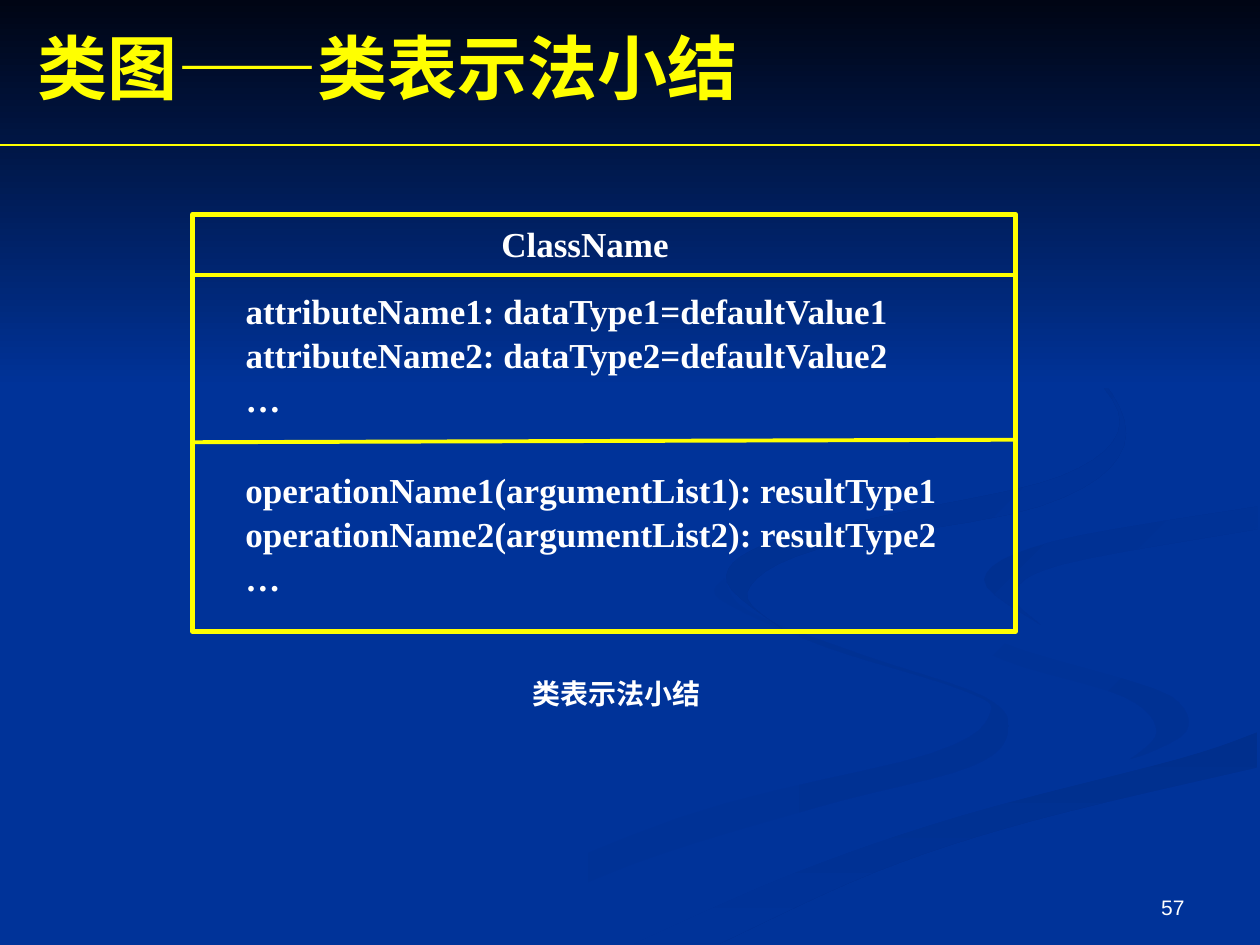
"""Build the slide that sums up UML class notation."""
from typing import NamedTuple

from lxml import etree
from pptx import Presentation
from pptx import util as u
from pptx.dml.color import RGBColor
from pptx.enum import shapes, text
from pptx.oxml.ns import qn

BLUE = RGBColor(0x00, 0x33, 0x99)
NIGHT = RGBColor(0x00, 0x05, 0x14)
SHADE_LIGHT = RGBColor(0x00, 0x31, 0x93)
SHADE_MID = RGBColor(0x00, 0x30, 0x91)
SHADE_DEEP = RGBColor(0x00, 0x2F, 0x8D)
YELLOW = RGBColor(0xFF, 0xFF, 0x00)
WHITE = RGBColor(0xFF, 0xFF, 0xFF)
SERIF, SANS = "Times New Roman", "Arial"
CURVE_STEPS = 6


class Ribbon(NamedTuple):
    start: RGBColor
    end: RGBColor
    angle: int
    edges: tuple


class Label(NamedTuple):
    left: float
    top: float
    width: float
    height: float
    lines: tuple
    size: int = 20
    font: str = SERIF
    bold: bool = True
    align: text.PP_ALIGN = text.PP_ALIGN.LEFT
    anchor: text.MSO_ANCHOR = text.MSO_ANCHOR.TOP


class Rule(NamedTuple):
    x1: float
    y1: float
    x2: float
    y2: float
    weight: float


SLOPE = ((5.03, 7.49), (6.3, 6.93), (7.64, 6.47), (9.36, 6.02), (9.98, 5.81))
CURL = ((9.98, 4.02), (8.35, 4.3), (7.81, 4.6), (8.26, 4.96))

RIBBONS = (
    Ribbon(BLUE, SHADE_LIGHT, 0, (
        ((3.61, 7.49), (4.99, 6.87), (6.51, 6.4), (7.69, 6.09), (8, 5.81), (7.81, 5.53),
         (6.82, 5.19), (5.94, 4.85), (5.75, 4.59)),
        ((5.75, 4.59), (5.72, 4.76), (6.54, 5.13), (7.62, 5.47), (7.86, 5.66), (7.39, 5.98),
         (5.39, 6.49), (3, 7.49)))),
    Ribbon(BLUE, SHADE_LIGHT, 45, (
        ((7.24, 4.64), (7.58, 4.98), (8.7, 5.3), (9.3, 5.53), (9.41, 5.81), (8.94, 6.05)),
        ((8.94, 6.05), (9.18, 5.81), (8.92, 5.53), (7.97, 5.24), (7.33, 4.88), (7.24, 4.64)))),
    Ribbon(SHADE_DEEP, BLUE, 90, (
        SLOPE, ((9.98, 6.09), (8.21, 6.51), (6.95, 6.92), (5.71, 7.49)))),
    Ribbon(BLUE, BLUE, 0, (
        ((4.77, 7.49), (6.19, 6.84), (8.12, 6.25), (9.31, 5.9), (9.31, 5.53), (7.93, 5.09),
         (7.25, 4.64), (7.55, 4.32), (8.51, 4.11), (9.98, 3.87)),
        CURL, ((8.26, 4.96), (9.04, 5.19), (9.98, 5.38)), SLOPE[::-1])),
    Ribbon(SHADE_MID, BLUE, 45, (
        CURL, ((8.26, 4.96), (8.05, 4.72), (8.43, 4.48), (9.98, 4.2)))),
    Ribbon(SHADE_DEEP, BLUE, 45, (
        ((7.62, 2.33), (8.46, 2.79), (8.89, 3.35), (8.42, 3.78), (7.04, 4.09), (6.05, 4.33),
         (5.77, 4.62), (6.22, 5)),
        ((6.22, 5), (5.93, 4.7), (6.49, 4.36), (8.25, 4.02), (8.92, 3.54), (8.64, 2.91),
         (7.62, 2.33)))),
)

RULES = (
    Rule(0, 1.15, 10, 1.15, 0.75),
    Rule(1.53, 3.51, 8.07, 3.49, 2.25),
    Rule(1.53, 2.18, 8.07, 2.18, 2.25),
)

LABELS = (
    Label(7.17, 6.83, 2.33, 0.52, ("57",), 12, SANS, False,
          text.PP_ALIGN.RIGHT, text.MSO_ANCHOR.BOTTOM),
    Label(4.13, 5.32, 1.65, 0.37, ("类表示法小结",), 16),
    Label(3.88, 1.72, 1.81, 0.43, ("ClassName",)),
    Label(1.85, 2.25, 5.35, 1.14, ("attributeName1: dataType1=defaultValue1",
                                   "attributeName2: dataType2=defaultValue2", "…")),
    Label(1.85, 3.67, 6.06, 1.14, ("operationName1(argumentList1): resultType1",
                                   "operationName2(argumentList2): resultType2", "…")),
)


def smooth(edge: tuple) -> list:
    """Return points of a Catmull-Rom curve through the edge."""
    padded = (edge[0], *edge, edge[-1])
    points = [edge[0]]
    for knots in zip(padded, padded[1:], padded[2:], padded[3:]):
        for step in range(1, CURVE_STEPS + 1):
            t = step / CURVE_STEPS
            points.append(tuple(
                b + t * ((c - a) + t * ((2 * a - 5 * b + 4 * c - d)
                                        + t * (3 * b - a - 3 * c + d))) / 2
                for a, b, c, d in zip(*knots)))
    return points


def shade(shape, start: RGBColor, end: RGBColor, angle: int) -> None:
    shape.shadow.inherit = False
    shape.line.fill.background()
    if start == end:
        shape.fill.solid()
        shape.fill.fore_color.rgb = start
        return
    shape.fill.gradient()
    shape.fill.gradient_angle = -angle % 360
    for stop, color in zip(shape.fill.gradient_stops, (start, end)):
        stop.color.rgb = color


def draw_ribbon(slide, ribbon: Ribbon) -> None:
    first, *rest = [(u.Inches(x), u.Inches(y))
                    for edge in ribbon.edges for x, y in smooth(edge)]
    builder = slide.shapes.build_freeform(*first)
    builder.add_line_segments(rest, close=True)
    shade(builder.convert_to_shape(), ribbon.start, ribbon.end, ribbon.angle)


def draw_rule(slide, rule: Rule) -> None:
    connector = slide.shapes.add_connector(
        shapes.MSO_CONNECTOR.STRAIGHT, *map(u.Inches, rule[:4]))
    connector.line.color.rgb = YELLOW
    connector.line.width = u.Pt(rule.weight)
    etree.SubElement(connector._element.spPr, qn("a:effectLst"))


def draw_label(slide, label: Label) -> None:
    frame = slide.shapes.add_textbox(*map(u.Inches, label[:4])).text_frame
    frame.word_wrap = True
    frame.vertical_anchor = label.anchor
    frame.text = "\n".join(label.lines)
    for index, paragraph in enumerate(frame.paragraphs):
        paragraph.alignment = label.align
        if index:
            paragraph.space_before = u.Pt(1)
        font = paragraph.font
        font.name, font.size, font.bold = label.font, u.Pt(label.size), label.bold
        font.color.rgb = WHITE


def place_title(slide) -> None:
    title = slide.shapes.title
    title.left, title.top, title.width, title.height = map(u.Inches, (0.2, 0.14, 9, 0.77))
    title.text_frame.vertical_anchor = text.MSO_ANCHOR.MIDDLE
    heading = title.text_frame.paragraphs[0]
    heading.alignment = text.PP_ALIGN.LEFT
    heading.font.size, heading.font.bold = u.Pt(40), True
    heading.font.color.rgb = YELLOW
    for words, font_name in (("类图", SERIF), ("——", SANS), ("类表示法小结", SERIF)):
        run = heading.add_run()
        run.text, run.font.name = words, font_name
    slide.shapes._spTree.append(title._element)


def main() -> None:
    deck = Presentation()
    deck.slide_width, deck.slide_height = u.Inches(10), u.Inches(7.5)
    slide = deck.slides.add_slide(deck.slide_layouts[5])
    slide.background.fill.solid()
    slide.background.fill.fore_color.rgb = BLUE

    for ribbon in RIBBONS:
        draw_ribbon(slide, ribbon)
    sky = slide.shapes.add_shape(
        shapes.MSO_SHAPE.RECTANGLE, 0, 0, deck.slide_width, u.Inches(3.08))
    shade(sky, NIGHT, BLUE, 90)
    place_title(slide)

    class_box = slide.shapes.add_shape(
        shapes.MSO_SHAPE.RECTANGLE, *map(u.Inches, (1.53, 1.7, 6.53, 3.31)))
    class_box.shadow.inherit = False
    class_box.fill.background()
    class_box.line.color.rgb = YELLOW
    class_box.line.width = u.Pt(3)
    for rule in RULES:
        draw_rule(slide, rule)
    for label in LABELS:
        draw_label(slide, label)
    deck.save("out.pptx")


if __name__ == "__main__":
    main()
